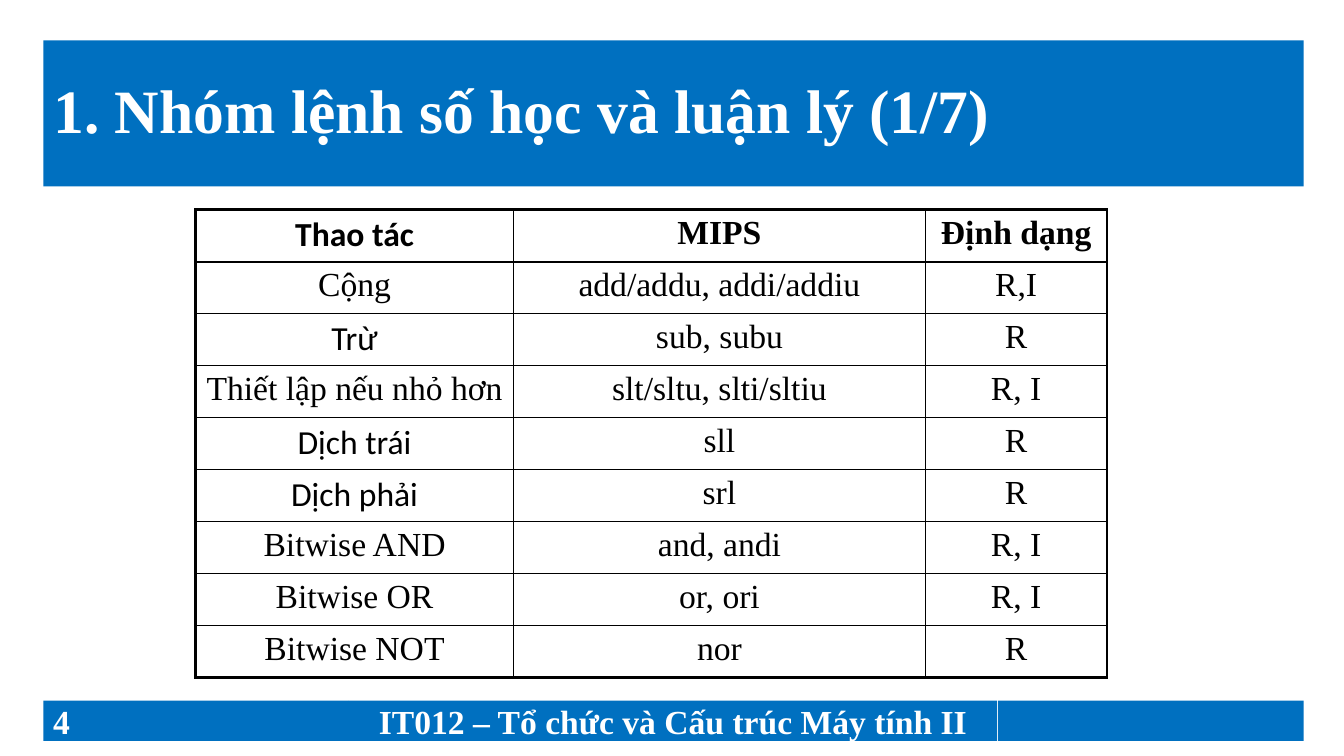
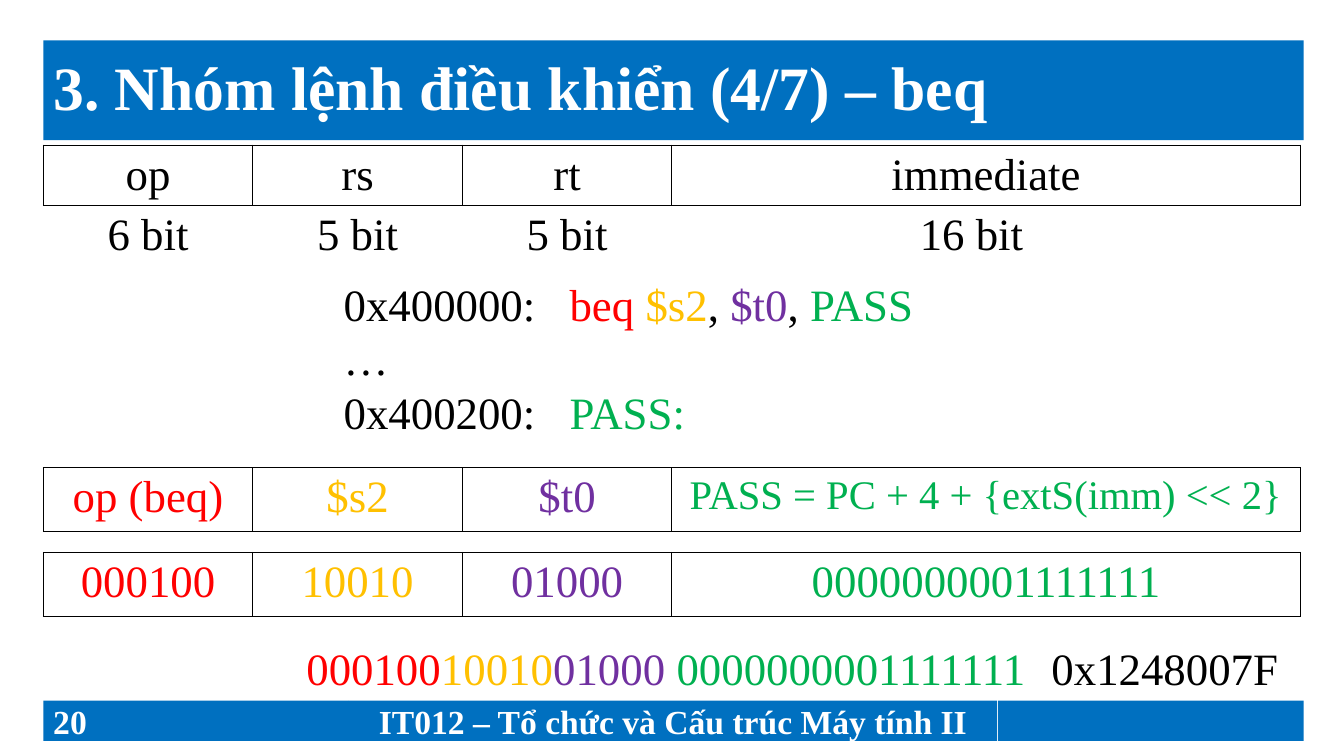
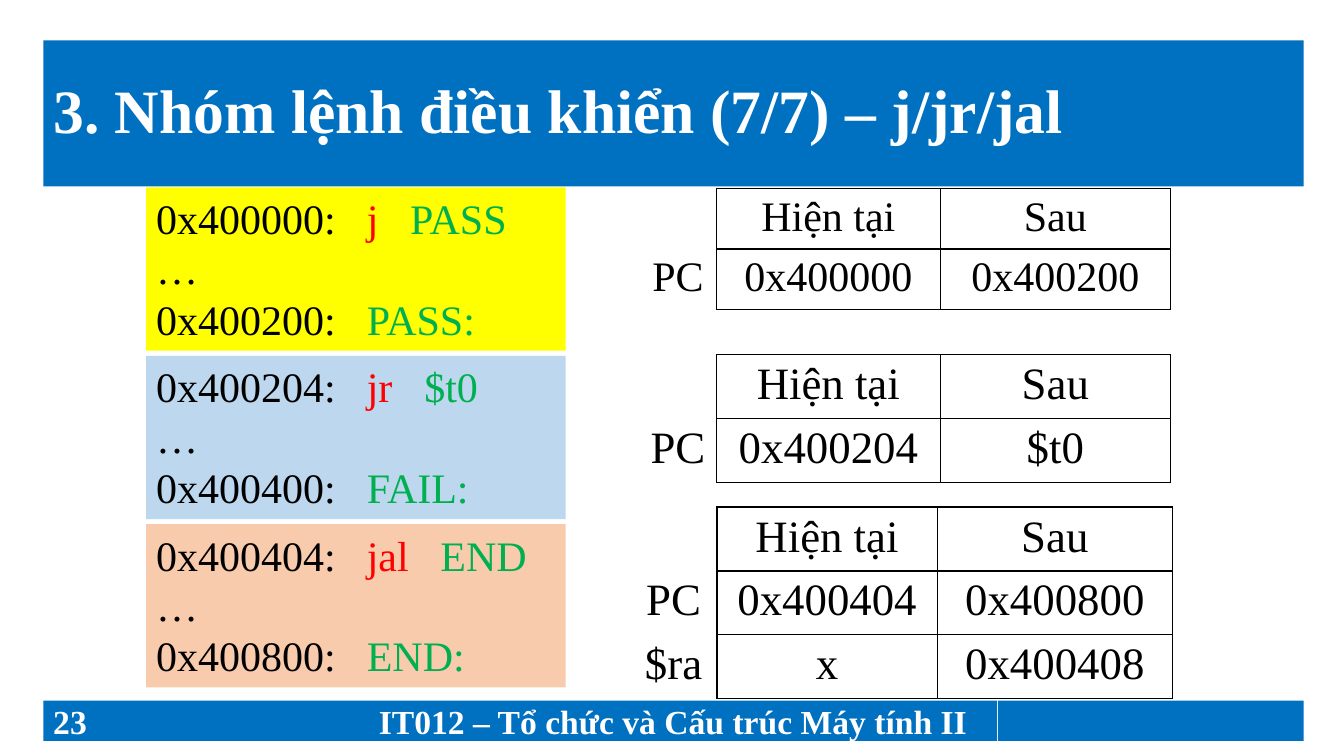
from dataclasses import dataclass

from lxml.etree import SubElement
from pptx import Presentation
from pptx.dml.color import RGBColor
from pptx.enum.shapes import MSO_SHAPE
from pptx.enum.text import MSO_ANCHOR, PP_ALIGN
from pptx.oxml.ns import qn
from pptx.util import Inches, Pt


@dataclass(frozen=True)
class Theme:
    blue: str = "0070C0"
    white: str = "FFFFFF"
    black: str = "000000"
    red: str = "FF0000"
    gold: str = "FFC000"
    purple: str = "7030A0"
    green: str = "00B050"
    yellow: str = "FFFF00"
    sky: str = "BDD7EE"
    peach: str = "F8CBAD"
    serif: str = "Times New Roman"
    sans: str = "Calibri"
    title: int = 44
    footer: int = 24
    small: int = 24
    formula: int = 29
    code: int = 30
    body: int = 32


T = Theme()
W, H = 13.33, 7.5
LEFT, TOP, WIDTH = 0.43, 0.4, 12.5
FOOT_TOP, FOOT_H = 6.95, 0.4
SIDE, MIDDLE = 3.03, 6.43
COURSE = "IT012 – Tổ chức và Cấu trúc Máy tính II"

OPERATIONS = [
    ("Thao tác", "MIPS", "Định dạng"),
    ("Cộng", "add/addu, addi/addiu", "R,I"),
    ("Trừ", "sub, subu", "R"),
    ("Thiết lập nếu nhỏ hơn", "slt/sltu, slti/sltiu", "R, I"),
    ("Dịch trái", "sll", "R"),
    ("Dịch phải", "srl", "R"),
    ("Bitwise AND", "and, andi", "R, I"),
    ("Bitwise OR", "or, ori", "R, I"),
    ("Bitwise NOT", "nor", "R"),
]
SANS_WORDS = {"Thao tác", "Trừ", "Dịch trái", "Dịch phải"}

FIELDS = [
    ("op", "rs", "rt", "immediate", "", ""),
    ("6 bit", "5 bit", "5 bit", "", "16 bit", ""),
]
FIELD_COLORS = (T.red, T.gold, T.purple, T.green)
ENCODINGS = [
    (4.64, ("op (beq)", "$s2", "$t0", "PASS = PC + 4 + {extS(imm) << 2}"), T.formula),
    (5.48, ("000100", "10010", "01000", "0000000001111111"), T.body),
]
BRANCH = [
    [("0x400000:\t", T.black), ("beq ", T.red), ("$s2", T.gold), (", ", T.black),
     ("$t0", T.purple), (", ", T.black), ("PASS", T.green)],
    [("…", T.black)],
    [("0x400200:", T.black), ("\tPASS:", T.green)],
]
MACHINE_CODE = list(zip(("000100", "10010", "01000", " 0000000001111111"), FIELD_COLORS))

JUMPS = [
    (T.yellow, "0x400000:", "j", "PASS", 2.52, "0x400200:", "PASS:"),
    (T.sky, "0x400204:", "jr", "$t0", 2.66, "0x400400:", "FAIL:"),
    (T.peach, "0x400404:", "jal", "END", 2.82, "0x400800:", "END:"),
]
HEAD = ("", "Hiện tại", "Sau")
REGISTERS = [
    ((6.34, 1.87, 5.27, 1.2), (77, 222, 229), T.code,
     [HEAD, ("PC", "0x400000", "0x400200")]),
    ((6.34, 3.52, 5.27, 1.27), (77, 222, 229), T.body,
     [HEAD, ("PC", "0x400204", "$t0")]),
    ((6.25, 5.03, 5.38, 1.9), (86, 218, 233), T.body,
     [HEAD, ("PC", "0x400404", "0x400800"), ("$ra", "x", "0x400408")]),
]


def write(p, runs, size, bold=False, font=T.serif, align=PP_ALIGN.LEFT, stops=()):
    p.alignment = align
    for text, color in runs:
        r = p.add_run()
        r.text = text
        r.font.name = font
        r.font.size = Pt(size)
        r.font.bold = bold
        r.font.color.rgb = RGBColor.from_string(color)
    if stops:
        tabs = SubElement(p._p.get_or_add_pPr(), qn("a:tabLst"))
        for stop in stops:
            SubElement(tabs, qn("a:tab"), pos=str(Inches(stop)), algn="l")


def band(s, at, fill):
    sp = s.shapes.add_shape(MSO_SHAPE.RECTANGLE, *map(Inches, at))
    sp.shadow.inherit = False
    sp.fill.solid()
    sp.fill.fore_color.rgb = RGBColor.from_string(fill)
    sp.line.fill.background()
    sp.text_frame.word_wrap = True
    return sp.text_frame


def text_box(s, at):
    tf = s.shapes.add_textbox(*map(Inches, at)).text_frame
    tf.word_wrap = True
    return tf


def write_lines(tf, lines, size, stops=()):
    tf.vertical_anchor = MSO_ANCHOR.TOP
    for i, runs in enumerate(lines):
        p = tf.paragraphs[0] if i == 0 else tf.add_paragraph()
        write(p, runs, size, stops=stops)


def new_slide(prs, title, number, title_h=1.45):
    s = prs.slides.add_slide(prs.slide_layouts[6])
    tf = band(s, (LEFT, TOP, WIDTH, title_h), T.blue)
    tf.vertical_anchor = MSO_ANCHOR.MIDDLE
    tf.paragraphs[0].line_spacing = 0.9
    write(tf.paragraphs[0], [(title, T.white)], T.title, True)
    footers = [
        (LEFT, SIDE, str(number), PP_ALIGN.LEFT),
        (LEFT + SIDE, MIDDLE, COURSE, PP_ALIGN.CENTER),
        (LEFT + WIDTH - SIDE, SIDE, "", PP_ALIGN.LEFT),
    ]
    for x, w, text, align in footers:
        tf = band(s, (x, FOOT_TOP, w, FOOT_H), T.blue)
        tf.vertical_anchor = MSO_ANCHOR.MIDDLE
        if text:
            write(tf.paragraphs[0], [(text, T.white)], T.footer, True, align=align)
    return s


def set_border(cell, side, width):
    ln = SubElement(cell._tc.get_or_add_tcPr(), qn("a:" + side), w=str(Pt(width)))
    if width:
        fill = SubElement(ln, qn("a:solidFill"))
        SubElement(fill, qn("a:srgbClr"), val=T.black)
    else:
        SubElement(ln, qn("a:noFill"))


def add_grid(s, at, shares, rows, style, boxed=lambda r, c: True, across=None, down=None):
    n, m = len(rows), len(shares)
    across = across or [1] * (n + 1)
    down = down or [1] * (m + 1)
    tbl = s.shapes.add_table(n, m, *map(Inches, at)).table
    tbl.first_row = tbl.horz_banding = False
    for c, share in enumerate(shares):
        tbl.columns[c].width = Inches(at[2] * share / sum(shares))

    def ruled(*cells):
        return any(0 <= r < n and 0 <= c < m and boxed(r, c) for r, c in cells)

    for r, row in enumerate(rows):
        tbl.rows[r].height = Inches(at[3] / n)
        for c, text in enumerate(row):
            cell = tbl.cell(r, c)
            edges = [
                ("lnL", (r, c - 1), down[c]),
                ("lnR", (r, c + 1), down[c + 1]),
                ("lnT", (r - 1, c), across[r]),
                ("lnB", (r + 1, c), across[r + 1]),
            ]
            for side, neighbour, width in edges:
                set_border(cell, side, width if ruled((r, c), neighbour) else 0)
            cell.fill.background()
            if text:
                color, look = style(r, c, text)
                write(cell.text_frame.paragraphs[0], [(text, color)],
                      align=PP_ALIGN.CENTER, **look)
    return tbl


def operations_slide(prs):
    s = new_slide(prs, "1. Nhóm lệnh số học và luận lý (1/7)", 4)

    def style(r, c, text):
        font = T.sans if text in SANS_WORDS else T.serif
        return T.black, dict(size=T.small, bold=r == 0, font=font)

    add_grid(s, (1.94, 2.08, 9.04, 4.64), (315, 408, 180), OPERATIONS, style,
             across=[2.25] + [1.5] * 4 + [1] * 4 + [2.25], down=[2.25, 1, 1, 2.25])


def branch_slide(prs):
    s = new_slide(prs, "3. Nhóm lệnh điều khiển (4/7) – beq", 20, 0.99)
    w = 12.47
    tbl = add_grid(s, (LEFT, 1.44, w, 1.2), (1, 1, 1, 1, 0.86, 1.14), FIELDS,
                   lambda r, c, text: (T.black, dict(size=T.body)),
                   boxed=lambda r, c: r == 0)
    tbl.cell(0, 3).merge(tbl.cell(0, 5))
    write_lines(text_box(s, (3.31, 2.7, 6.75, 1.72)), BRANCH, T.body, [2.24])
    for y, row, last_size in ENCODINGS:
        add_grid(s, (LEFT, y, w, 0.63), (1, 1, 1, 3), [row],
                 lambda r, c, text: (FIELD_COLORS[c],
                                     dict(size=last_size if c == 3 else T.body)))
    write_lines(text_box(s, (2.94, 6.31, 7.39, 0.64)), [MACHINE_CODE], T.body)
    write_lines(text_box(s, (10.33, 6.31, 2.58, 0.64)), [[("0x1248007F", T.black)]], T.body)


def jump_slide(prs):
    s = new_slide(prs, "3. Nhóm lệnh điều khiển (7/7) – j/jr/jal", 23)
    for i, (fill, start, op, target, stop, end, label) in enumerate(JUMPS):
        lines = [
            [(start, T.black), (f"\t{op}\t", T.red), (target, T.green)],
            [("…", T.black)],
            [(end, T.black), (f"\t{label}", T.green)],
        ]
        tf = band(s, (1.45, 1.86 + 1.67 * i, 4.16, 1.62), fill)
        write_lines(tf, lines, T.code, [2.09, stop])
    for at, shares, size, rows in REGISTERS:
        add_grid(s, at, shares, rows,
                 lambda r, c, text: (T.black, dict(size=size)),
                 boxed=lambda r, c: c > 0)


def main():
    prs = Presentation()
    prs.slide_width, prs.slide_height = Inches(W), Inches(H)
    operations_slide(prs)
    branch_slide(prs)
    jump_slide(prs)
    prs.save("out.pptx")


if __name__ == "__main__":
    main()
